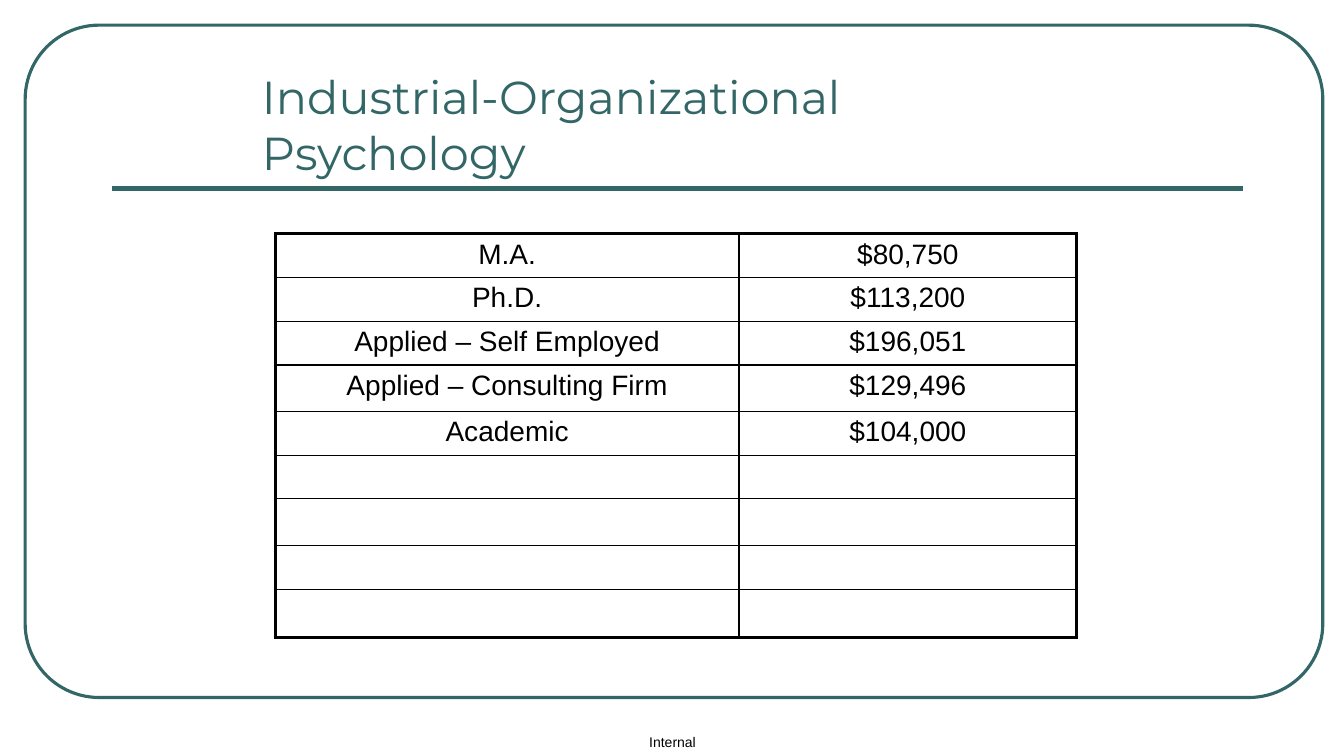
from lxml import etree
from pptx import Presentation
from pptx import util as u
from pptx.dml.color import RGBColor
from pptx.enum import shapes, text
from pptx.oxml.ns import qn

TEAL, BLACK = "336666", "000000"
ROWS = [
    ("M.A.", "$80,750"),
    ("Ph.D.", "$113,200"),
    ("Applied – Self Employed", "$196,051"),
    ("Applied – Consulting Firm", "$129,496"),
    ("Academic", "$104,000"),
] + [("", "")] * 4
WIDTHS = [4.6, 3.35]
TALL = {3: 0.46, 6: 0.47, 8: 0.48}


def color(code):
    return RGBColor.from_string(code)


def style(par, size, font, code, align):
    par.alignment = align
    for key, val in {"size": u.Pt(size), "name": font}.items():
        setattr(par.font, key, val)
    par.font.color.rgb = color(code)


def stroke(item, width):
    item.line.color.rgb = color(TEAL)
    item.line.width = u.Pt(width)


def add_frame(slide, x, y, w, h):
    frame = slide.shapes.add_shape(
        shapes.MSO_SHAPE.ROUNDED_RECTANGLE, *map(u.Inches, (x, y, w, h)))
    frame.adjustments[0] = 0.11
    frame.shadow.inherit = False
    frame.fill.background()
    stroke(frame, 2.25)
    rule = slide.shapes.add_connector(
        shapes.MSO_CONNECTOR.STRAIGHT,
        *map(u.Inches, (x + 0.86, y + 1.62, x + 12.08, y + 1.62)))
    stroke(rule, 3)
    etree.SubElement(rule._element.spPr, qn("a:effectLst"))


def add_label(slide, box, words, form, anchor, inset):
    frame = slide.shapes.add_textbox(*map(u.Inches, box)).text_frame
    formats = {"word_wrap": True, "vertical_anchor": anchor}
    for side, gap in zip(("left", "top", "right", "bottom"), inset):
        formats["margin_" + side] = u.Inches(gap)
    for key, val in formats.items():
        setattr(frame, key, val)
    par = frame.paragraphs[0]
    par.text = words
    style(par, *form)


def add_edge(cell, side, width):
    line = etree.SubElement(
        cell._tc.get_or_add_tcPr(), qn("a:ln" + side), w=str(u.Pt(width)))
    fill = etree.SubElement(line, qn("a:solidFill"))
    etree.SubElement(fill, qn("a:srgbClr"), val=BLACK)


def add_pay(slide, x, y):
    highs = [TALL.get(r, 0.43) for r in range(len(ROWS))]
    table = slide.shapes.add_table(
        len(ROWS), len(WIDTHS),
        *map(u.Inches, (x, y, sum(WIDTHS), sum(highs)))).table
    table.first_row = table.horz_banding = False
    for col, wide in zip(table.columns, WIDTHS):
        col.width = u.Inches(wide)
    for r, (pair, high) in enumerate(zip(ROWS, highs)):
        table.rows[r].height = u.Inches(high)
        for c, words in enumerate(pair):
            cell = table.cell(r, c)
            outer = {"L": c == 0, "R": c == len(WIDTHS) - 1,
                     "T": r == 0, "B": r == len(ROWS) - 1}
            for side, edge in outer.items():
                add_edge(cell, side, 2.25 if edge else 1)
            cell.fill.background()
            if words:
                cell.text = words
                style(cell.text_frame.paragraphs[0], 20, "Arial", BLACK,
                      text.PP_ALIGN.CENTER)


def main():
    deck = Presentation()
    deck.slide_width, deck.slide_height = u.Inches(13.33), u.Inches(7.5)
    slide = deck.slides.add_slide(deck.slide_layouts[6])
    add_frame(slide, 0.25, 0.25, 12.87, 6.67)
    add_label(slide, (6.29, 7.23, 0.76, 0.27), "Internal",
              (10, "Arial", BLACK, text.PP_ALIGN.CENTER),
              text.MSO_ANCHOR.MIDDLE, (0, 0, 0, 0))
    add_pay(slide, 2.73, 2.32)
    add_label(slide, (2.5, 0.58, 8.42, 1.25),
              "Industrial-Organizational Psychology",
              (33, "Montserrat", TEAL, text.PP_ALIGN.LEFT),
              text.MSO_ANCHOR.BOTTOM, (0.1, 0.05, 0.1, 0.05))
    deck.save("out.pptx")


if __name__ == "__main__":
    main()
